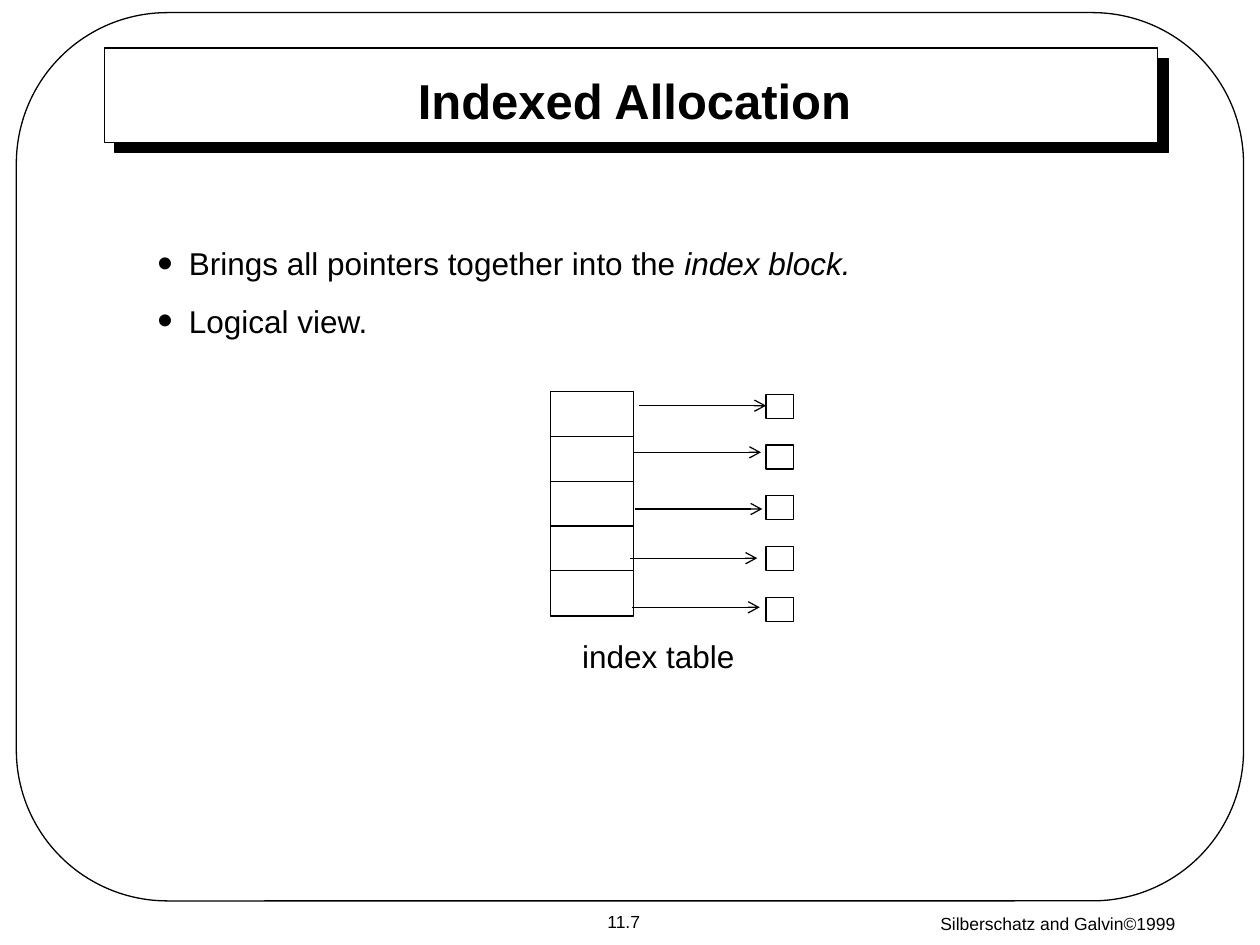
from dataclasses import dataclass

from lxml.etree import SubElement
from pptx import Presentation
from pptx.dml.color import RGBColor
from pptx.enum.shapes import MSO_CONNECTOR, MSO_SHAPE
from pptx.enum.text import MSO_ANCHOR, MSO_AUTO_SIZE, PP_ALIGN
from pptx.oxml.ns import qn
from pptx.shapes.autoshape import Shape
from pptx.slide import Slide
from pptx.text.text import TextFrame, _Paragraph
from pptx.util import Inches, Pt

BLACK = "000000"
WHITE = "FFFFFF"
FONT = "Arial"
LINE_WIDTH = Pt(0.75)
ARROW_LENGTH = 1.01


@dataclass(frozen=True)
class Box:
    left: float
    top: float
    width: float
    height: float

    def lengths(self) -> tuple:
        return tuple(Inches(value) for value in (self.left, self.top, self.width, self.height))


@dataclass(frozen=True)
class Column:
    first: Box
    pitch: float
    count: int


@dataclass(frozen=True)
class Arrow:
    left: float
    top: float


@dataclass(frozen=True)
class Label:
    text: str
    box: Box
    size: int
    anchor: MSO_ANCHOR
    wrap: bool


FRAME = Box(0.13, 0.1, 9.74, 7.05)
BANNER = Box(0.83, 0.38, 8.36, 0.75)
TITLE = Box(1.27, 0.54, 7.53, 0.5)
BODY = Box(1.15, 1.89, 7.69, 0.93)
COLUMNS = (
    Column(Box(4.37, 3.11, 0.66, 0.36), 0.355, 5),
    Column(Box(6.08, 3.13, 0.22, 0.19), 0.4025, 5),
)
ARROWS = (
    Arrow(5.07, 3.22),
    Arrow(5.03, 3.59),
    Arrow(5.04, 4.04),
    Arrow(5.0, 4.43),
    Arrow(5.02, 4.82),
)
LABELS = (
    Label("Silberschatz and Galvin©1999", Box(6.81, 7.2, 3.17, 0.3), 10, MSO_ANCHOR.TOP, True),
    Label("11.7", Box(4.44, 7.18, 1.02, 0.27), 10, MSO_ANCHOR.MIDDLE, False),
    Label("index table", Box(4.52, 5.01, 1.41, 0.4), 18, MSO_ANCHOR.MIDDLE, False),
)
BULLETS = (
    (("Brings all pointers together into the ", False), ("index block.", True)),
    (("Logical view.", False),),
)


def color(value: str) -> RGBColor:
    return RGBColor.from_string(value)


def format_runs(paragraph: _Paragraph, size: int, bold: bool = False) -> None:
    for run in paragraph.runs:
        run.font.name = FONT
        run.font.size = Pt(size)
        run.font.bold = bold
        run.font.color.rgb = color(BLACK)


def set_centered_text(text_frame: TextFrame, text: str, size: int, bold: bool = False) -> None:
    text_frame.text = text
    paragraph = text_frame.paragraphs[0]
    paragraph.alignment = PP_ALIGN.CENTER
    format_runs(paragraph, size, bold)


def add_box(slide: Slide, box: Box, kind: MSO_SHAPE = MSO_SHAPE.RECTANGLE) -> Shape:
    shape = slide.shapes.add_shape(kind, *box.lengths())
    shape.shadow.inherit = False
    shape.fill.solid()
    shape.fill.fore_color.rgb = color(WHITE)
    shape.line.color.rgb = color(BLACK)
    shape.line.width = LINE_WIDTH
    return shape


def add_hard_shadow(shape: Shape) -> None:
    effects = shape._element.spPr.find(qn("a:effectLst"))
    shadow = SubElement(effects, qn("a:outerShdw"), blurRad="0", dist=str(Pt(8.5)),
                        dir=str(45 * 60000), algn="ctr", rotWithShape="0")
    SubElement(shadow, qn("a:srgbClr"), val=BLACK)


def add_column(slide: Slide, column: Column) -> None:
    first = column.first
    for index in range(column.count):
        add_box(slide, Box(first.left, first.top + index * column.pitch, first.width, first.height))


def add_arrow(slide: Slide, arrow: Arrow) -> None:
    connector = slide.shapes.add_connector(
        MSO_CONNECTOR.STRAIGHT, Inches(arrow.left), Inches(arrow.top),
        Inches(arrow.left + ARROW_LENGTH), Inches(arrow.top))
    connector.line.color.rgb = color(BLACK)
    connector.line.width = LINE_WIDTH
    SubElement(connector.line._get_or_add_ln(), qn("a:tailEnd"), type="arrow")
    SubElement(connector._element.spPr, qn("a:effectLst"))


def add_label(slide: Slide, label: Label) -> None:
    text_frame = slide.shapes.add_textbox(*label.box.lengths()).text_frame
    text_frame.word_wrap = label.wrap
    text_frame.vertical_anchor = label.anchor
    set_centered_text(text_frame, label.text, label.size)


def add_bullet(paragraph: _Paragraph) -> None:
    properties = paragraph._element.get_or_add_pPr()
    properties.set("marL", str(Inches(0.25)))
    properties.set("indent", str(Inches(-0.25)))
    bullet_color = SubElement(properties, qn("a:buClr"))
    SubElement(bullet_color, qn("a:srgbClr"), val=BLACK)
    SubElement(properties, qn("a:buSzPct"), val="140000")
    SubElement(properties, qn("a:buFont"), typeface=FONT)
    SubElement(properties, qn("a:buChar"), char="•")


def add_body(slide: Slide) -> None:
    text_frame = slide.shapes.add_textbox(*BODY.lengths()).text_frame
    text_frame.word_wrap = True
    for index, parts in enumerate(BULLETS):
        paragraph = text_frame.add_paragraph() if index else text_frame.paragraphs[0]
        add_bullet(paragraph)
        if index:
            paragraph.space_before = Pt(11.2)
        for text, italic in parts:
            run = paragraph.add_run()
            run.text = text
            run.font.italic = italic
        format_runs(paragraph, 18)


def place_title(slide: Slide) -> None:
    title = slide.shapes.title
    title.left, title.top, title.width, title.height = TITLE.lengths()
    title.text_frame.auto_size = MSO_AUTO_SIZE.NONE
    title.text_frame.vertical_anchor = MSO_ANCHOR.MIDDLE
    set_centered_text(title.text_frame, "Indexed Allocation", 28, bold=True)
    slide.shapes._spTree.append(title._element)


def main() -> None:
    presentation = Presentation()
    presentation.slide_width = Inches(10)
    presentation.slide_height = Inches(7.5)
    slide = presentation.slides.add_slide(presentation.slide_layouts[5])
    frame = add_box(slide, FRAME, MSO_SHAPE.ROUNDED_RECTANGLE)
    frame.adjustments[0] = 0.17
    frame.fill.background()
    add_hard_shadow(add_box(slide, BANNER))
    place_title(slide)
    add_body(slide)
    for column in COLUMNS:
        add_column(slide, column)
    for arrow in ARROWS:
        add_arrow(slide, arrow)
    for label in LABELS:
        add_label(slide, label)
    presentation.save("out.pptx")


if __name__ == "__main__":
    main()
